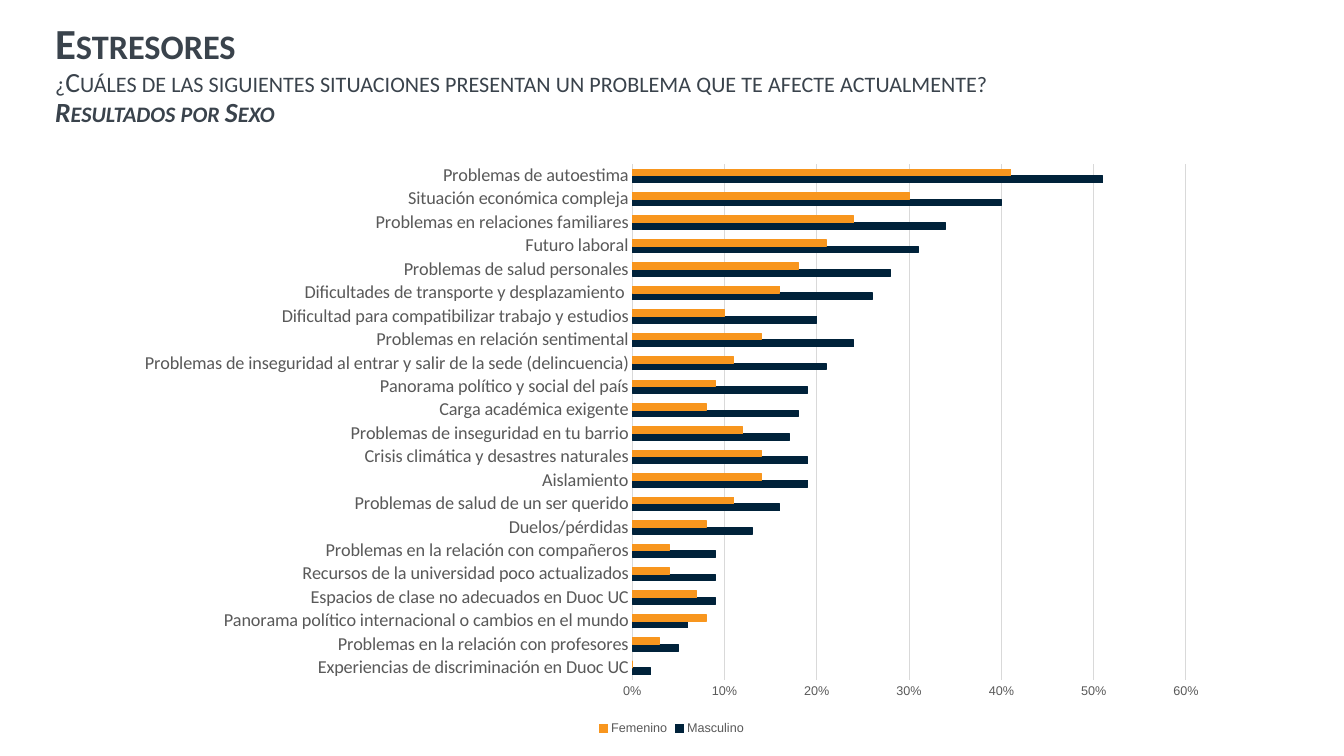
import pptx
import pptx.chart.data
import pptx.dml.color
import pptx.enum.chart
import pptx.enum.text
import pptx.util

Cm = pptx.util.Cm
Pt = pptx.util.Pt

STRESSORS = [
    ("Experiencias de discriminación en Duoc UC", 0.02, 0),
    ("Problemas en la relación con profesores", 0.05, 0.03),
    ("Panorama político internacional o cambios en el mundo", 0.06, 0.08),
    ("Espacios de clase no adecuados en Duoc UC", 0.09, 0.07),
    ("Recursos de la universidad poco actualizados", 0.09, 0.04),
    ("Problemas en la relación con compañeros", 0.09, 0.04),
    ("Duelos/pérdidas", 0.13, 0.08),
    ("Problemas de salud de un ser querido", 0.16, 0.11),
    ("Aislamiento", 0.19, 0.14),
    ("Crisis climática y desastres naturales", 0.19, 0.14),
    ("Problemas de inseguridad en tu barrio", 0.17, 0.12),
    ("Carga académica exigente", 0.18, 0.08),
    ("Panorama político y social del país", 0.19, 0.09),
    ("Problemas de inseguridad al entrar y salir de la sede (delincuencia)", 0.21, 0.11),
    ("Problemas en relación sentimental", 0.24, 0.14),
    ("Dificultad para compatibilizar trabajo y estudios", 0.2, 0.1),
    ("Dificultades de transporte y desplazamiento ", 0.26, 0.16),
    ("Problemas de salud personales", 0.28, 0.18),
    ("Futuro laboral", 0.31, 0.21),
    ("Problemas en relaciones familiares", 0.34, 0.24),
    ("Situación económica compleja", 0.4, 0.3),
    ("Problemas de autoestima", 0.51, 0.41),
]
SERIES_COLORS = {"Masculino": "00223A", "Femenino": "F8961E"}
HEADING = [
    ("Estresores", {"size": Pt(30.6), "bold": True}),
    ("¿Cuáles de las siguientes situaciones presentan un problema que te afecte actualmente?",
     {"size": Pt(19.8), "bold": False}),
    ("Resultados por Sexo", {"size": Pt(19.8), "bold": True, "italic": True}),
]


def rgb(value):
    return pptx.dml.color.RGBColor.from_string(value)


def apply(target, values):
    for name, value in values.items():
        setattr(target, name, value)


class SlideBuilder:
    heading_color = "3A434C"
    label_color = "595959"
    rule_color = "D9D9D9"
    heading_font = "Calibri"
    chart_font = "Arial"

    def __init__(self, page):
        self.page = page

    def font(self, font, color, **values):
        apply(font, values)
        font.color.rgb = rgb(color)

    def line(self, line, color):
        line.color.rgb = rgb(color)
        line.width = Pt(0.75)

    def heading(self, left, top, width, height, lines):
        frame = self.page.shapes.add_textbox(Cm(left), Cm(top), Cm(width), Cm(height)).text_frame
        apply(frame, {
            "word_wrap": True,
            "vertical_anchor": pptx.enum.text.MSO_ANCHOR.MIDDLE,
            "margin_bottom": Cm(0.89),
        })
        for index, (text, values) in enumerate(lines):
            para = frame.add_paragraph() if index else frame.paragraphs[0]
            para.line_spacing = 0.9
            span = para.add_run()
            span.text = text
            self.font(span.font, self.heading_color, name=self.heading_font, **values)
            span.font._element.set("cap", "small")

    def bar_chart(self, left, top, width, height, rows, colors):
        names, *columns = zip(*rows)
        data = pptx.chart.data.CategoryChartData(number_format="0%")
        data.categories = names
        for name, values in zip(colors, columns):
            data.add_series(name, values)
        chart = self.page.shapes.add_chart(
            pptx.enum.chart.XL_CHART_TYPE.BAR_CLUSTERED,
            Cm(left), Cm(top), Cm(width), Cm(height), data).chart
        apply(chart, {"has_title": False, "has_legend": True})
        self.font(chart.font, "000000", name=self.chart_font, size=Pt(10))
        apply(chart.legend, {
            "position": pptx.enum.chart.XL_LEGEND_POSITION.BOTTOM,
            "include_in_layout": False,
        })
        self.font(chart.legend.font, self.label_color, name=self.chart_font, size=Pt(9))

        plot = chart.plots[0]
        apply(plot, {"gap_width": 150, "overlap": 0, "vary_by_categories": False})
        for series in plot.series:
            color = colors[series.name]
            series.format.fill.solid()
            series.format.fill.fore_color.rgb = rgb(color)
            self.line(series.format.line, color)

        no_ticks = {
            "major_tick_mark": pptx.enum.chart.XL_TICK_MARK.NONE,
            "minor_tick_mark": pptx.enum.chart.XL_TICK_MARK.NONE,
        }
        category_axis, value_axis = chart.category_axis, chart.value_axis
        apply(category_axis, {**no_ticks, "has_major_gridlines": False})
        self.line(category_axis.format.line, self.rule_color)
        self.font(category_axis.tick_labels.font, self.label_color,
                  name=self.heading_font, size=Pt(13))
        apply(value_axis, {
            **no_ticks, "has_major_gridlines": True,
            "minimum_scale": 0, "maximum_scale": 0.6, "major_unit": 0.1,
        })
        value_axis.format.line.fill.background()
        self.line(value_axis.major_gridlines.format.line, self.rule_color)
        apply(value_axis.tick_labels, {"number_format": "0%", "number_format_is_linked": False})
        self.font(value_axis.tick_labels.font, self.label_color,
                  name=self.chart_font, size=Pt(9))


def main():
    deck = pptx.Presentation()
    apply(deck, {"slide_width": Cm(33.87), "slide_height": Cm(19.05)})
    builder = SlideBuilder(deck.slides.add_slide(deck.slide_layouts[6]))
    builder.heading(1.14, 1.09, 32.33, 2.39, HEADING)
    builder.bar_chart(3.1, 3.84, 27.66, 14.81, STRESSORS, SERIES_COLORS)
    deck.save("out.pptx")


if __name__ == "__main__":
    main()
